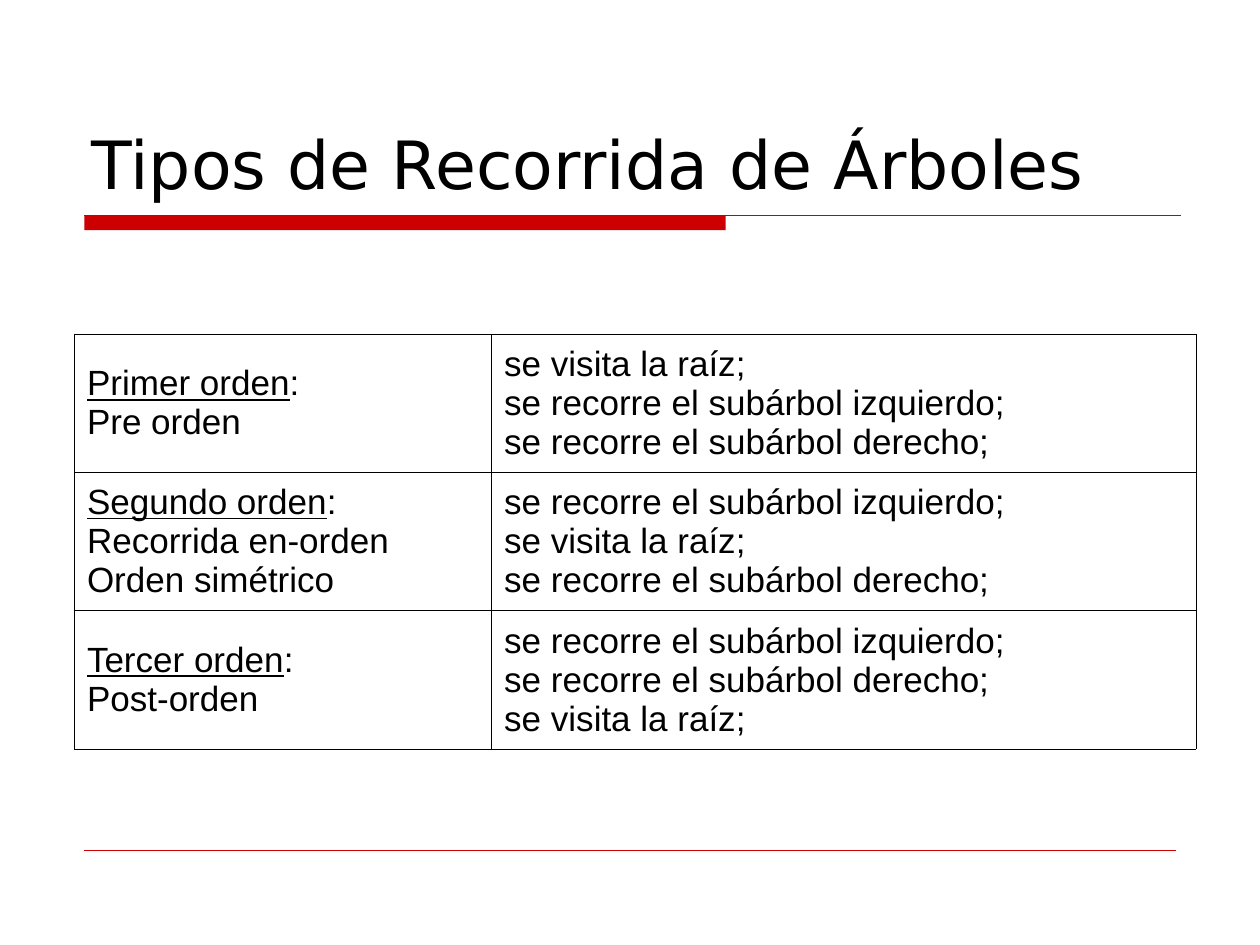
"""Builds a slide that sums up the three orders of tree traversal in a table."""
from dataclasses import dataclass

from lxml.etree import SubElement
from pptx import Presentation
from pptx.dml.color import RGBColor
from pptx.enum.shapes import MSO_CONNECTOR, MSO_SHAPE
from pptx.enum.text import MSO_ANCHOR, MSO_AUTO_SIZE, PP_ALIGN
from pptx.oxml.ns import qn
from pptx.slide import Slide
from pptx.table import _Cell
from pptx.text.text import _Paragraph
from pptx.util import Cm, Pt

RED = "CC0000"
BLACK = "000000"
RULE_LEFT = 1.7
ROOT = "se visita la raíz;"
LEFT = "se recorre el subárbol izquierdo;"
RIGHT = "se recorre el subárbol derecho;"


@dataclass
class Traversal:
    order: str
    names: list[str]
    steps: list[str]


@dataclass
class Rule:
    top: float
    width: float
    weight: float


TRAVERSALS = [
    Traversal("Primer orden", ["Pre orden"], [ROOT, LEFT, RIGHT]),
    Traversal("Segundo orden", ["Recorrida en-orden", "Orden simétrico"], [LEFT, ROOT, RIGHT]),
    Traversal("Tercer orden", ["Post-orden"], [LEFT, RIGHT, ROOT]),
]
RULES = [Rule(4.34, 22.1, 0.75), Rule(17.15, 22, 0.25)]
COLUMN_WIDTHS = [8.41, 14.2]
ROW_HEIGHT = 2.79


def color(value: str) -> RGBColor:
    return RGBColor.from_string(value)


def add_run(paragraph: _Paragraph, text: str, font: str, size: float, underline: bool = False) -> None:
    run = paragraph.add_run()
    run.text = text
    run.font.name = font
    run.font.size = Pt(size)
    run.font.underline = underline
    run.font.color.rgb = color(BLACK)


def add_title(slide: Slide, text: str) -> None:
    title = slide.shapes.title
    title.left, title.top, title.width, title.height = Cm(1.6), Cm(0.84), Cm(22.23), Cm(3.38)
    frame = title.text_frame
    frame.auto_size = MSO_AUTO_SIZE.NONE
    frame.vertical_anchor = MSO_ANCHOR.BOTTOM
    paragraph = frame.paragraphs[0]
    paragraph.alignment = PP_ALIGN.LEFT
    add_run(paragraph, text, "DejaVu Sans", 38)


def add_bar(slide: Slide) -> None:
    bar = slide.shapes.add_shape(
        MSO_SHAPE.RECTANGLE, Cm(RULE_LEFT), Cm(RULES[0].top), Cm(12.93), Cm(0.3))
    bar.shadow.inherit = False
    bar.fill.solid()
    bar.fill.fore_color.rgb = color(RED)
    bar.line.fill.background()


def add_rule(slide: Slide, rule: Rule) -> None:
    line = slide.shapes.add_connector(
        MSO_CONNECTOR.STRAIGHT, Cm(RULE_LEFT), Cm(rule.top), Cm(RULE_LEFT + rule.width), Cm(rule.top))
    line.line.color.rgb = color(RED)
    line.line.width = Pt(rule.weight)
    SubElement(line._element.spPr, qn("a:effectLst"))


def format_cell(cell: _Cell) -> None:
    properties = cell._tc.get_or_add_tcPr()
    for side in ("lnL", "lnR", "lnT", "lnB"):
        border = SubElement(properties, qn(f"a:{side}"), w=str(Pt(0.34)))
        fill = SubElement(border, qn("a:solidFill"))
        SubElement(fill, qn("a:srgbClr"), val=BLACK)
    cell.fill.background()
    cell.vertical_anchor = MSO_ANCHOR.MIDDLE


def add_lines(paragraph: _Paragraph, lines: list[str]) -> None:
    for index, line in enumerate(lines):
        if index:
            paragraph.add_line_break()
        add_run(paragraph, line, "Arial", 20)


def add_traversal_table(slide: Slide, traversals: list[Traversal]) -> None:
    table = slide.shapes.add_table(
        len(traversals), len(COLUMN_WIDTHS), Cm(1.5), Cm(6.73),
        Cm(sum(COLUMN_WIDTHS)), Cm(ROW_HEIGHT * len(traversals))).table
    table.first_row = False
    table.horz_banding = False
    for column, width in zip(table.columns, COLUMN_WIDTHS):
        column.width = Cm(width)
    for row, traversal in zip(table.rows, traversals):
        row.height = Cm(ROW_HEIGHT)
        for cell in row.cells:
            format_cell(cell)
        name_paragraph, step_paragraph = (cell.text_frame.paragraphs[0] for cell in row.cells)
        add_run(name_paragraph, traversal.order, "Arial", 20, underline=True)
        add_lines(name_paragraph, [":", *traversal.names])
        add_lines(step_paragraph, traversal.steps)


def main() -> None:
    presentation = Presentation()
    presentation.slide_width, presentation.slide_height = Cm(25.4), Cm(19.05)
    slide = presentation.slides.add_slide(presentation.slide_layouts.get_by_name("Title Only"))
    add_bar(slide)
    for rule in RULES:
        add_rule(slide, rule)
    add_title(slide, "Tipos de Recorrida de Árboles")
    add_traversal_table(slide, TRAVERSALS)
    presentation.save("out.pptx")


if __name__ == "__main__":
    main()
